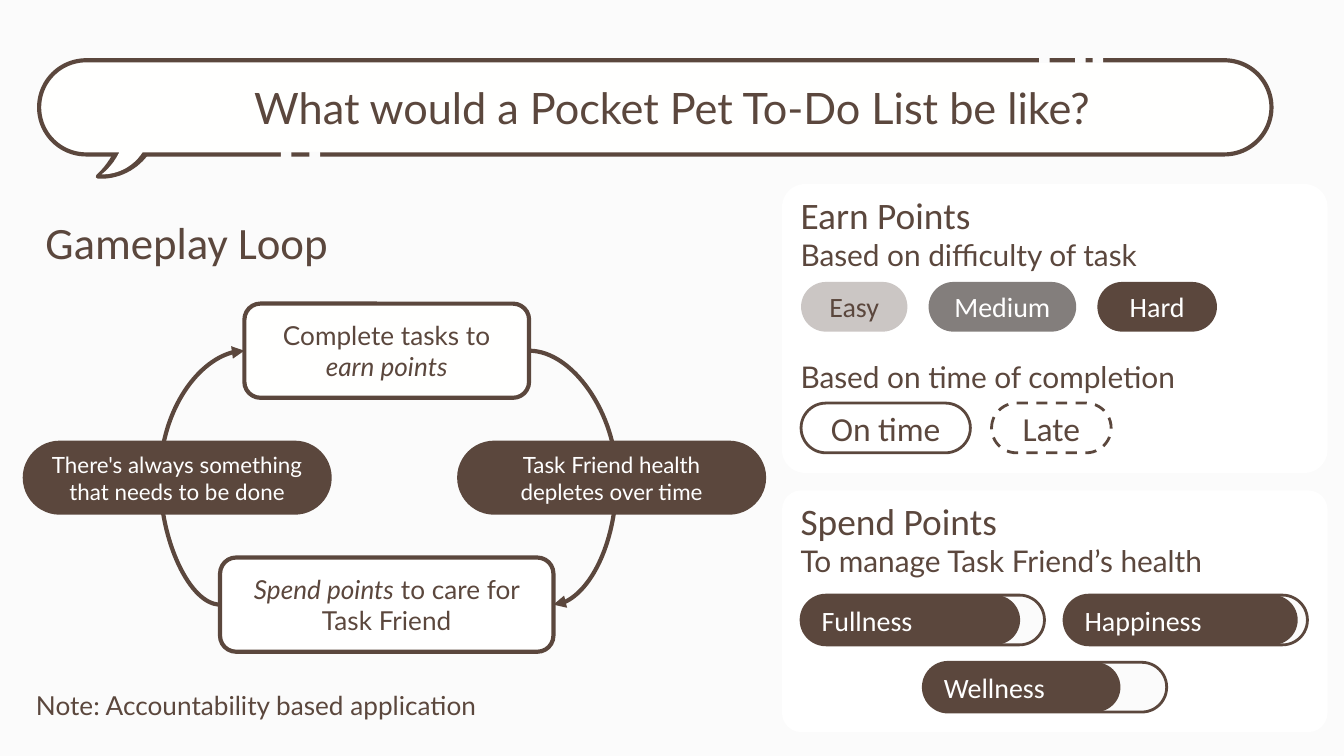
import pptx
import pptx.dml.color
import pptx.enum.dml
import pptx.enum.shapes
import pptx.enum.text
import pptx.oxml
import pptx.oxml.ns
import pptx.util
from pptx.util import Cm

SHAPES = pptx.enum.shapes.MSO_SHAPE
ALIGN = pptx.enum.text.PP_ALIGN
ANCHOR = pptx.enum.text.MSO_ANCHOR
BROWN = "5B473D"
WHITE = "FFFFFF"
PAPER = "FBFBFB"
PILL_HEIGHT = 0.94


def color(hex_string):
    return pptx.dml.color.RGBColor.from_string(hex_string)


def write(shape, paragraphs, align=ALIGN.LEFT, anchor=ANCHOR.TOP):
    frame = shape.text_frame
    frame.word_wrap = True
    frame.vertical_anchor = anchor
    frame.margin_left = frame.margin_right = Cm(0.25)
    frame.margin_top = frame.margin_bottom = Cm(0.25)
    for index, runs in enumerate(paragraphs):
        paragraph = frame.paragraphs[0] if index == 0 else frame.add_paragraph()
        paragraph.alignment = align
        for text, size, font, ink, italic in runs:
            run = paragraph.add_run()
            run.text = text
            run.font.size = pptx.util.Pt(size)
            run.font.name = font
            run.font.italic = italic
            run.font.color.rgb = color(ink)


def styled(text, size, font="Lato", ink=BROWN, italic=False):
    return text, size, font, ink, italic


def add_text(slide, left, top, width, height, paragraphs, align=ALIGN.LEFT):
    box = slide.shapes.add_textbox(Cm(left), Cm(top), Cm(width), Cm(height))
    write(box, paragraphs, align)


def add_block(slide, kind, left, top, width, height, fill, line_width=0, corner=None):
    shape = slide.shapes.add_shape(kind, Cm(left), Cm(top), Cm(width), Cm(height))
    shape.shadow.inherit = False
    shape.fill.solid()
    shape.fill.fore_color.rgb = color(fill)
    if line_width:
        shape.line.color.rgb = color(BROWN)
        shape.line.width = pptx.util.Pt(line_width)
    else:
        shape.line.fill.background()
    if corner is not None:
        shape.adjustments[0] = corner
    return shape


def add_pill(slide, left, top, width, fill, paragraphs=(), line_width=0,
             height=PILL_HEIGHT, align=ALIGN.CENTER):
    pill = add_block(slide, SHAPES.ROUNDED_RECTANGLE, left, top, width, height,
                     fill, line_width, 0.5)
    write(pill, paragraphs, align, ANCHOR.MIDDLE)
    return pill


def add_card(slide, left, top, width, fill, paragraphs):
    card = add_block(slide, SHAPES.ROUNDED_RECTANGLE, left, top, width, 1.78,
                     fill, 2.25, 0.17)
    write(card, paragraphs, ALIGN.CENTER, ANCHOR.MIDDLE)
    return card


def add_arrow(slide, start, end, side, bend):
    arrow = slide.shapes.add_connector(
        pptx.enum.shapes.MSO_CONNECTOR.CURVE, 0, 0, 0, 0)
    arrow.begin_connect(start, side)
    arrow.end_connect(end, side)
    arrow.line.color.rgb = color(BROWN)
    arrow.line.width = pptx.util.Pt(2.25)
    properties = arrow._element.spPr
    namespace = pptx.oxml.ns.nsdecls("a")
    guides = properties.find(pptx.oxml.ns.qn("a:prstGeom")).get_or_add_avLst()
    guides.append(pptx.oxml.parse_xml(
        f'<a:gd {namespace} name="adj1" fmla="val {bend}"/>'))
    arrow.line._get_or_add_ln().append(
        pptx.oxml.parse_xml(f'<a:tailEnd {namespace} type="triangle"/>'))
    properties.append(pptx.oxml.parse_xml(f"<a:effectLst {namespace}/>"))


def build_title_bubble(slide, left, top, width, height):
    tail = add_block(slide, SHAPES.MOON, left + 1.17, top + 0.05, 1.07, 2.18,
                     BROWN, 2.25, 0.59)
    tail.rotation = 183.3
    add_block(slide, SHAPES.ROUNDED_RECTANGLE, left, top, width, height,
              "FFFFFE", 2.25, 0.5)
    tail_cutout = add_block(slide, SHAPES.MOON, left + 1.19, top + 0.33, 0.91, 1.83,
                            "FFFFFE", corner=0.52)
    tail_cutout.rotation = 180.5
    add_text(slide, left + 0.13, top + 0.15, width + 0.38, 1.6,
             [[styled("What would a Pocket Pet To-Do List be like?", 23.2)]],
             ALIGN.CENTER)
    edges = ((-0.05, (18.9, 19.58, 19.91)), (height - 0.05, (4.57, 5.11)))
    for edge, gaps in edges:
        for gap in gaps:
            add_block(slide, SHAPES.RECTANGLE, left + gap, top + edge, 0.2, 0.1, PAPER)


def build_gameplay_loop(slide, left, top, width, height):
    add_text(slide, left + 0.18, top, 6.88, 1.55,
             [[styled("Gameplay Loop", 24, "Calibri")]])
    earn = add_card(slide, left + 4.19, top + 1.93, 5.38, "FFFFFE", [[
        styled("Complete tasks to ", 14), styled("earn points", 14, italic=True)]])
    spend = add_card(slide, left + 3.73, top + 6.73, 6.3, WHITE, [[
        styled("Spend points", 14, italic=True),
        styled(" to care for Task Friend", 14)]])
    add_arrow(slide, earn, spend, 3, 359500)
    add_arrow(slide, spend, earn, 1, -246600)
    pill_width = 5.84
    states = (
        (left, ("There's always something", "that needs to be done")),
        (left + width - pill_width, ("Task Friend health depletes over time",)),
    )
    for state_left, lines in states:
        add_pill(slide, state_left, top + 4.52, pill_width, BROWN,
                 [[styled(line, 12, ink=WHITE)] for line in lines], height=1.4)
    add_text(slide, left, top + height - 1.09, 9.75, 1.09,
             [[styled("Note: Accountability based application", 14)]])


def build_panel(slide, left, top, width, height, heading, subheading):
    add_block(slide, SHAPES.ROUNDED_RECTANGLE, left, top, width, height, WHITE,
              corner=0.08)
    add_text(slide, left + 0.1, top - 0.1, 9.75, 2.06,
             [[styled(heading, 20, "Calibri")], [styled(subheading, 16)]])


def build_pill_row(slide, left, top, pills, size, line_width=0):
    row = []
    for text, width, fill, ink in pills:
        row.append(add_pill(slide, left, top, width, fill,
                            [[styled(text, size, "Calibri", ink)]], line_width))
        left += width + 0.4
    return row


def build_earn_panel(slide, left, top, width, height):
    build_panel(slide, left, top, width, height,
                "Earn Points", "Based on difficulty of task")
    build_pill_row(slide, left + 0.36, top + 1.85, (
        ("Easy", 2.01, "CBC6C4", BROWN),
        ("Medium", 2.79, "837E7C", WHITE),
        ("Hard", 2.26, BROWN, WHITE)), 15)
    add_text(slide, left + 0.1, top + 3.05, 8.33, 1.19,
             [[styled("Based on time of completion", 16)]])
    on_time, late = build_pill_row(slide, left + 0.36, top + 4.14, (
        ("On time", 3.2, WHITE, BROWN),
        ("Late", 2.26, WHITE, BROWN)), 18, 1.5)
    late.line.dash_style = pptx.enum.dml.MSO_LINE.DASH


def build_spend_panel(slide, left, top, width, height):
    build_panel(slide, left, top, width, height,
                "Spend Points", "To manage Task Friend’s health")
    meter_width = 4.6
    meters = (
        ("Fullness", 0.36, 1.98, 0.9),
        ("Wellness", 2.67, 3.25, 0.81),
        ("Happiness", 5.33, 1.98, 0.96),
    )
    for name, across, down, level in meters:
        add_pill(slide, left + across, top + down, meter_width, PAPER, line_width=1.5)
        add_pill(slide, left + across, top + down, meter_width * level, BROWN,
                 [[styled(name, 15, "Calibri", WHITE)]], align=ALIGN.LEFT)


def main():
    presentation = pptx.Presentation()
    presentation.slide_width = Cm(25.4)
    presentation.slide_height = Cm(14.29)
    slide = presentation.slides.add_slide(presentation.slide_layouts[6])
    slide.background.fill.solid()
    slide.background.fill.fore_color.rgb = color(PAPER)
    build_spend_panel(slide, 14.78, 9.27, 10.31, 4.57)
    build_earn_panel(slide, 14.78, 3.48, 10.31, 5.46)
    build_title_bubble(slide, 0.74, 1.14, 23.29, 1.78)
    build_gameplay_loop(slide, 0.43, 3.81, 14.05, 10.06)
    presentation.save("out.pptx")


if __name__ == "__main__":
    main()
